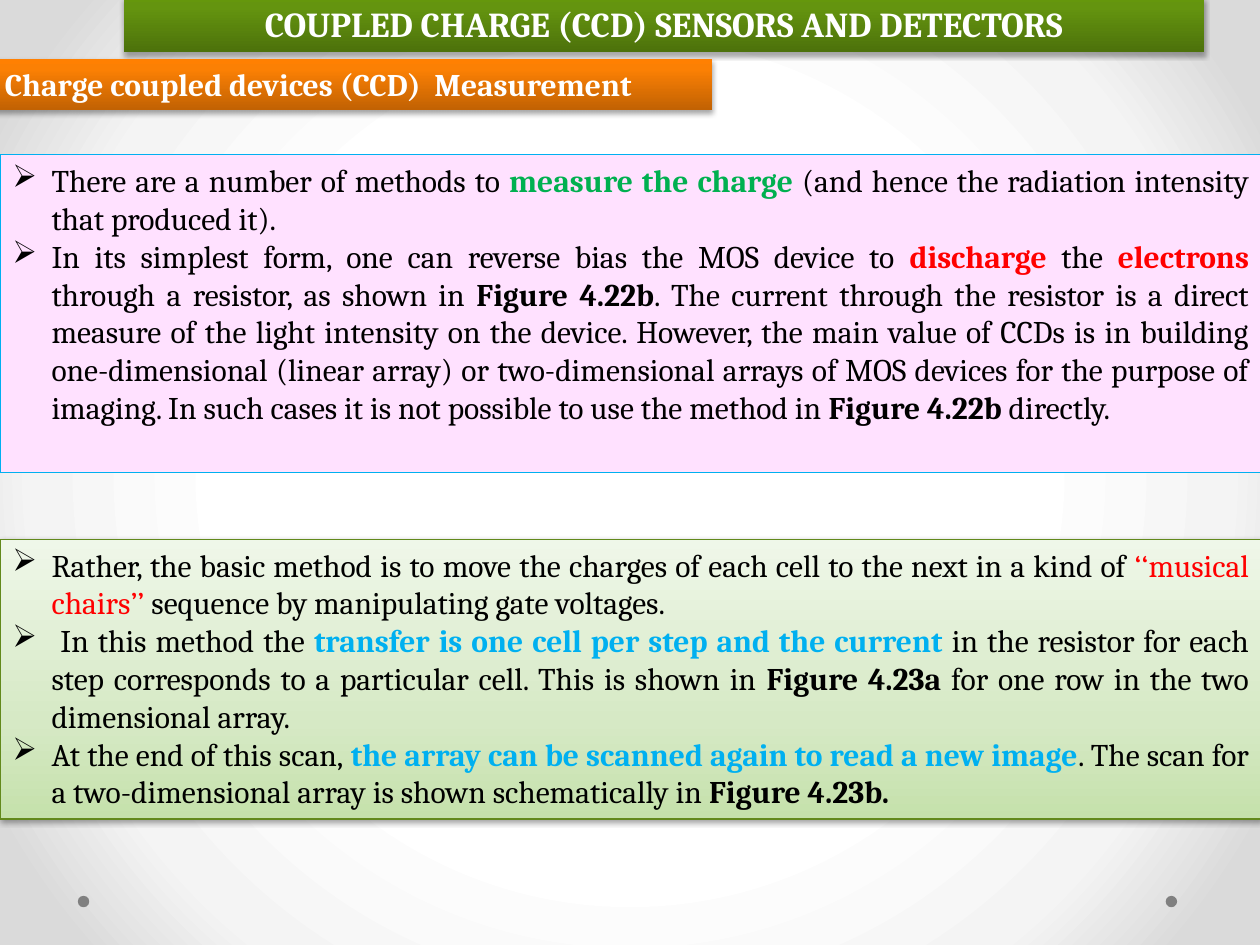
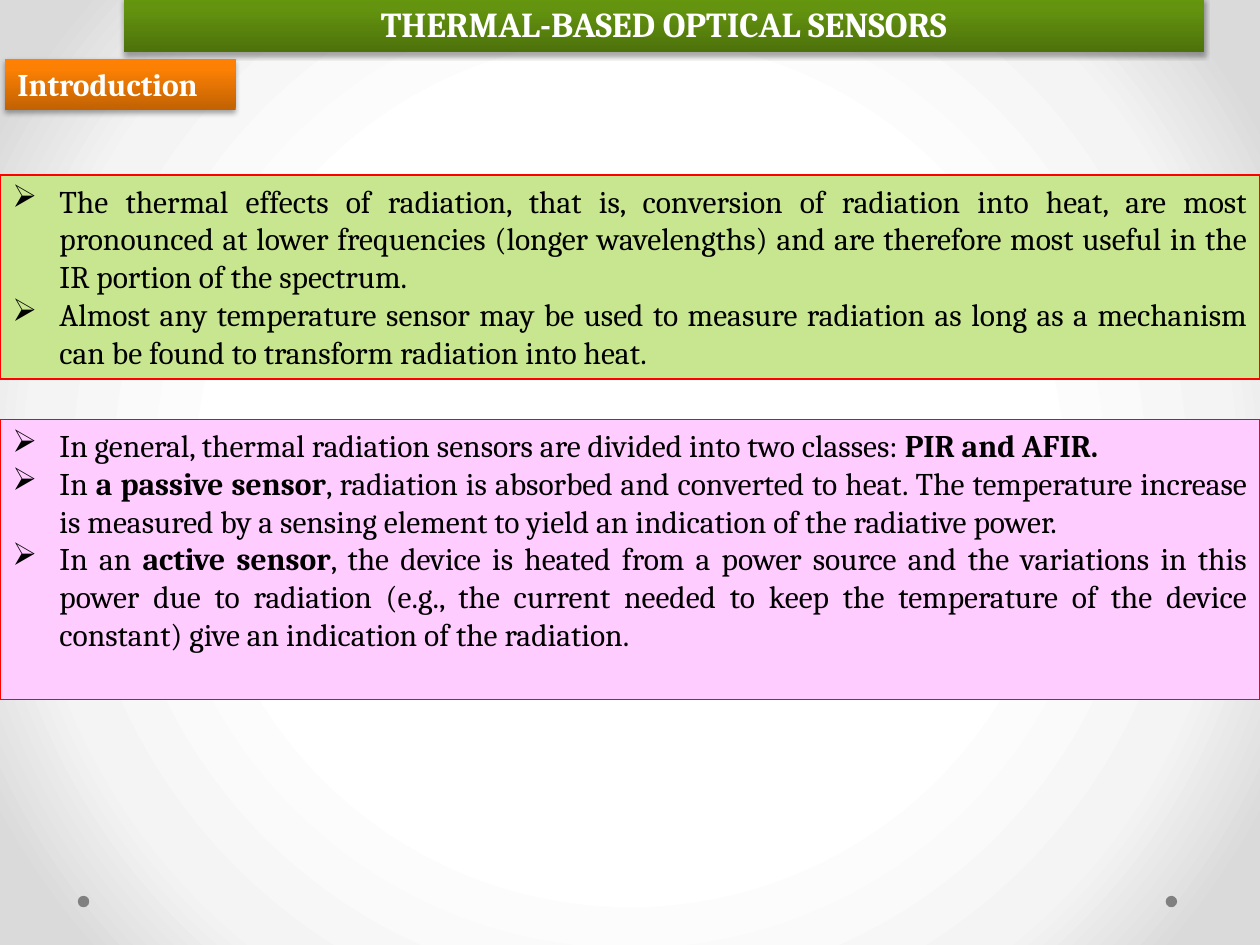
from lxml.etree import SubElement
from pptx import Presentation
from pptx.dml.color import RGBColor
from pptx.enum.shapes import MSO_SHAPE
from pptx.enum.text import MSO_ANCHOR, MSO_AUTO_SIZE, PP_ALIGN
from pptx.oxml import parse_xml
from pptx.oxml.ns import nsdecls, qn
from pptx.util import Cm, Pt

FONT = "Cambria"
WHITE, BLACK, RED, GREEN, BLUE = "FFFFFF", "000000", "FF0000", "00B050", "00B0F0"
GREEN_BAND = [(0, "4D720B"), (80, "64940F"), (100, "65970C")]
ORANGE_BAND = [(0, "C26203"), (80, "FB8004"), (100, "FF8002")]
PALE_GREEN = [(0, "C5E1AB"), (35, "D6E9C5"), (100, "EFF7E9")]
BACKDROP = [(50, "FFFFFF"), (76, "F4F4F4"), (92, "DADADA")]
UPWARD = '<a:lin ang="16200000" scaled="0"/>'
FROM_CENTRE = ('<a:path path="circle"><a:fillToRect l="50000" t="50000" '
               'r="50000" b="50000"/></a:path>')
TITLE_BOX = (2.49, -0.08, 21.79, 1.12)
TAG_TOP, TAG_HEIGHT = 1.19, 1.02


def colour(hex_value):
    return RGBColor.from_string(hex_value)


def paint_gradient(owner, holder, stops, direction):
    """Fill the owner, whose fill sits in the holder element, with a gradient."""
    owner.fill.solid()
    stop_list = "".join(
        f'<a:gs pos="{position * 1000}"><a:srgbClr val="{value}"/></a:gs>'
        for position, value in stops)
    gradient = parse_xml(f'<a:gradFill {nsdecls("a")} rotWithShape="1">'
                         f'<a:gsLst>{stop_list}</a:gsLst>{direction}</a:gradFill>')
    holder.replace(holder.find(qn("a:solidFill")), gradient)


def paint_backdrop(master):
    background = master.background
    background.fill.solid()
    paint_gradient(background, master.element.find(".//" + qn("p:bgPr")),
                   BACKDROP, FROM_CENTRE)


def add_shadow(shape, opacity, distance):
    shape.shadow.inherit = False
    effects = shape.element.spPr.find(qn("a:effectLst"))
    outer = SubElement(effects, qn("a:outerShdw"), blurRad=str(Pt(3.1)),
                       dist=str(Pt(distance)), dir="5400000", rotWithShape="0")
    black = SubElement(outer, qn("a:srgbClr"), val=BLACK)
    SubElement(black, qn("a:alpha"), val=str(opacity * 1000))


def place(shape, box):
    shape.left, shape.top, shape.width, shape.height = map(Cm, box)


def add_rectangle(page, box, kind=MSO_SHAPE.RECTANGLE):
    shape = page.shapes.add_shape(kind, *map(Cm, box))
    shape.shadow.inherit = False
    shape.line.fill.background()
    return shape


def prepare_text(shape):
    frame = shape.text_frame
    frame.word_wrap = True
    frame.auto_size = MSO_AUTO_SIZE.NONE
    frame.vertical_anchor = MSO_ANCHOR.TOP
    frame.margin_left = frame.margin_right = Cm(0.25)
    frame.margin_top = frame.margin_bottom = Cm(0.13)
    return frame


def add_span(para, text, hex_value=BLACK, bold=False, size=18):
    span = para.add_run()
    span.text = text
    span.font.name = FONT
    span.font.size = Pt(size)
    span.font.bold = bold
    span.font.color.rgb = colour(hex_value)


def format_band(shape, text, stops, size, alignment):
    """Turn a shape into a shaded band with one line of white bold text."""
    paint_gradient(shape, shape.element.spPr, stops, UPWARD)
    add_shadow(shape, 35, 1.8)
    para = prepare_text(shape).paragraphs[0]
    para.alignment = alignment
    add_span(para, text, WHITE, True, size)


def add_heading(page, title, tag, tag_left, tag_width):
    place(page.shapes.title, TITLE_BOX)
    format_band(page.shapes.title, title, GREEN_BAND, 20, PP_ALIGN.CENTER)
    tag_shape = add_rectangle(page, (tag_left, TAG_TOP, tag_width, TAG_HEIGHT))
    format_band(tag_shape, tag, ORANGE_BAND, 18, PP_ALIGN.LEFT)


def add_corner_dots(page):
    for left in (1.57, 23.5):
        dot = add_rectangle(page, (left, 18.06, 0.23, 0.23), MSO_SHAPE.OVAL)
        dot.fill.solid()
        dot.fill.fore_color.rgb = colour("808080")


def add_bullet(para, indent):
    properties = para._p.get_or_add_pPr()
    properties.set("marL", str(Cm(indent)))
    properties.set("indent", str(-Cm(indent)))
    SubElement(properties, qn("a:buChar"), char="➢")


def add_panel(page, box, fill, line, indent, items):
    """Add a bulleted panel; fill is a hex colour or a list of gradient stops."""
    panel = add_rectangle(page, box)
    panel.line.color.rgb = colour(line)
    panel.line.width = Pt(0.75)
    if isinstance(fill, str):
        panel.fill.solid()
        panel.fill.fore_color.rgb = colour(fill)
    else:
        paint_gradient(panel, panel.element.spPr, fill, UPWARD)
        add_shadow(panel, 38, 1.6)
    frame = prepare_text(panel)
    for number, spans in enumerate(items):
        para = frame.add_paragraph() if number else frame.paragraphs[0]
        para.alignment = PP_ALIGN.JUSTIFY
        add_bullet(para, indent)
        for span in spans:
            add_span(para, *span)


MEASURING = [
    [("There are a number of methods to ",),
     ("measure the charge ", GREEN, True),
     ("(and hence the radiation intensity that produced it).",)],
    [("In its simplest form, one can reverse bias the MOS device to ",),
     ("discharge ", RED, True),
     ("the ",),
     ("electrons", RED, True),
     (" through a resistor, as shown in ",),
     ("Figure 4.22b", BLACK, True),
     (". The current through the resistor is a direct measure of the light "
      "intensity on the device. However, the main value of CCDs is in building "
      "one-dimensional (linear array) or two-dimensional arrays of MOS devices "
      "for the purpose of imaging. In such cases it is not possible to use the "
      "method in ",),
     ("Figure 4.22b ", BLACK, True),
     ("directly.",)],
]
SCANNING = [
    [("Rather, the basic method is to move the charges of each cell to the next "
      "in a kind of ",),
     ("‘‘musical chairs’’ ", RED),
     ("sequence by manipulating gate voltages.",)],
    [(" In this method the ",),
     ("transfer is one cell per step and the current", BLUE, True),
     (" in the resistor for each step corresponds to a particular cell. "
      "This is shown in ",),
     ("Figure 4.23a ", BLACK, True),
     ("for one row in the two dimensional array.",)],
    [("At the end of this scan,",),
     (" the array can be scanned again to read a new image", BLUE, True),
     (". The scan for a two-dimensional array is shown schematically in ",),
     ("Figure 4.23b.", BLACK, True)],
]
THERMAL_EFFECTS = [
    [("The thermal effects of radiation, that is, conversion of radiation into "
      "heat, are most pronounced at lower frequencies (longer wavelengths) and "
      "are therefore most useful in the IR portion of the spectrum.",)],
    [("Almost any temperature sensor may be used to measure radiation as long as "
      "a mechanism can be found to transform radiation into heat.",)],
]
SENSOR_CLASSES = [
    [("In general, thermal radiation sensors are divided into two classes: ",),
     ("PIR and AFIR.", BLACK, True)],
    [("In ",),
     ("a passive sensor", BLACK, True),
     (", radiation is absorbed and converted to heat. The temperature increase "
      "is measured by a sensing element to yield an indication of the radiative "
      "power.",)],
    [("In an ",),
     ("active sensor", BLACK, True),
     (", the device is heated from a power source and the variations in this "
      "power due to radiation (e.g., the current needed to keep the temperature "
      "of the device constant) give an indication of the radiation.",)],
]
PAGES = [
    (("COUPLED CHARGE (CCD) SENSORS AND DETECTORS",
      "Charge coupled devices (CCD)  Measurement", -0.15, 14.5),
     [((0, 3.12, 25.43, 6.4), "FFE1FF", BLUE, 0.79, MEASURING),
      ((0, 10.87, 25.43, 5.64), PALE_GREEN, "62891C", 0.79, SCANNING)]),
    (("THERMAL-BASED OPTICAL SENSORS", "Introduction", 0.1, 4.65),
     [((0, 3.53, 25.4, 4.11), "C7E68F", RED, 0.95, THERMAL_EFFECTS),
      ((0, 8.46, 25.4, 5.64), "FFCCFF", RED, 0.95, SENSOR_CLASSES)]),
]


def main():
    deck = Presentation()
    deck.slide_width, deck.slide_height = Cm(25.4), Cm(19.05)
    paint_backdrop(deck.slide_master)
    title_only = deck.slide_layouts.get_by_name("Title Only")
    for heading, panels in PAGES:
        page = deck.slides.add_slide(title_only)
        add_corner_dots(page)
        add_heading(page, *heading)
        for panel in panels:
            add_panel(page, *panel)
    deck.save("out.pptx")


if __name__ == "__main__":
    main()
